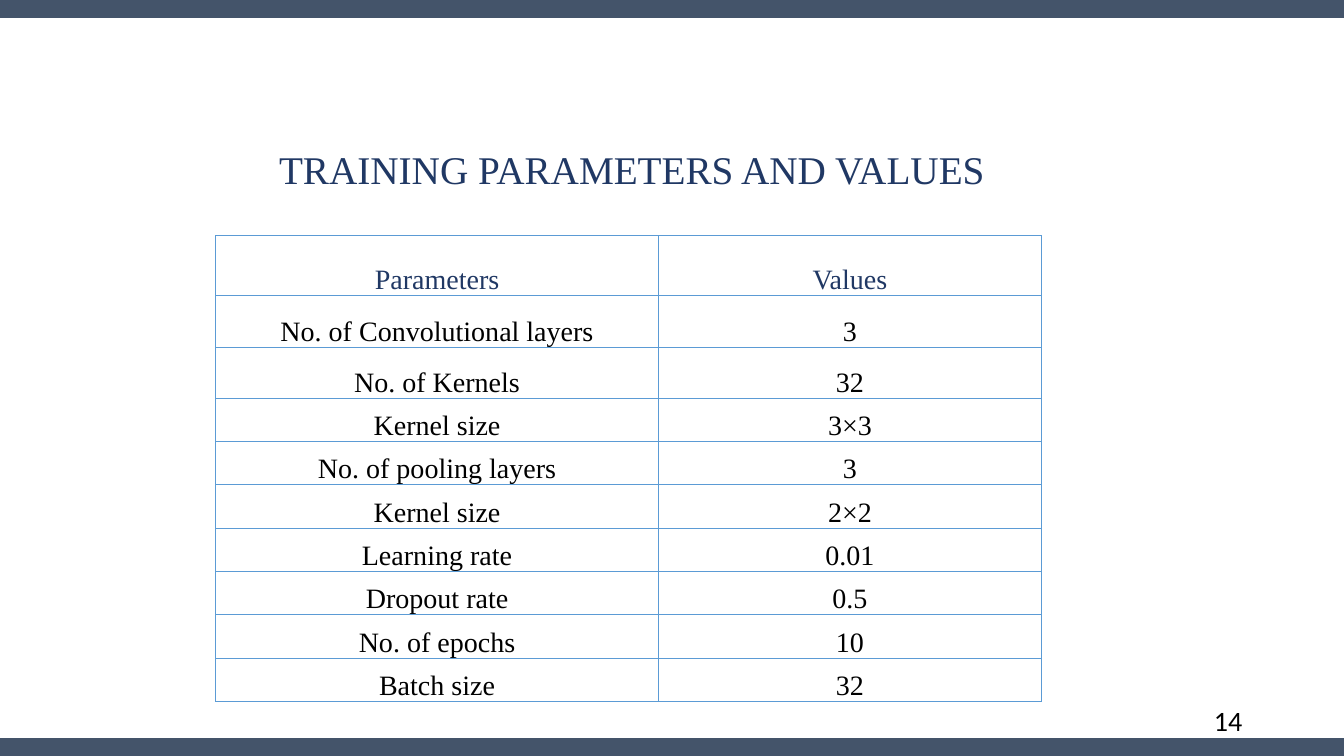
from lxml.etree import SubElement
from pptx import Presentation
from pptx.dml.color import RGBColor
from pptx.enum.shapes import MSO_CONNECTOR
from pptx.enum.text import MSO_ANCHOR, PP_ALIGN
from pptx.oxml.ns import qn
from pptx.util import Inches, Pt

COLORS = {"bar": "44546A", "heading": "203864", "text": "000000", "border": "5B9BD5"}
SERIF = "Times New Roman"
SLIDE_WIDTH, SLIDE_HEIGHT = 13.33, 7.5

COLUMN_WIDTHS = [4.39, 3.8]
ROW_HEIGHTS = [0.59, 0.52, 0.5] + [0.43] * 7
ROWS = [
    ("Parameters", "Values"),
    ("No. of Convolutional layers", "3"),
    ("No. of Kernels", "32"),
    ("Kernel size", "3×3"),
    ("No. of pooling layers", "3"),
    ("Kernel size", "2×2"),
    ("Learning rate", "0.01"),
    ("Dropout rate", "0.5"),
    ("No. of epochs", "10"),
    ("Batch size", "32"),
]


def write(frame, text, size, font, color, align):
    para = frame.paragraphs[0]
    para.text = text
    para.alignment = align
    para.font.size = Pt(size)
    para.font.name = font
    para.font.color.rgb = RGBColor.from_string(COLORS[color])


def add_bar(page, y):
    bar = page.shapes.add_connector(
        MSO_CONNECTOR.STRAIGHT, Inches(0), Inches(y), Inches(SLIDE_WIDTH), Inches(y))
    bar.line.color.rgb = RGBColor.from_string(COLORS["bar"])
    bar.line.width = Pt(14)
    SubElement(bar._element.spPr, qn("a:effectLst"))


def add_text(page, left, top, width, height, text, size, font, color, align, anchor):
    box = page.shapes.add_textbox(Inches(left), Inches(top), Inches(width), Inches(height))
    frame = box.text_frame
    frame.word_wrap = True
    frame.vertical_anchor = anchor
    write(frame, text, size, font, color, align)


def set_borders(cell):
    properties = cell._tc.get_or_add_tcPr()
    for side in ("lnL", "lnR", "lnT", "lnB"):
        line = SubElement(properties, qn(f"a:{side}"), w=str(Pt(1)))
        fill = SubElement(line, qn("a:solidFill"))
        SubElement(fill, qn("a:srgbClr"), val=COLORS["border"])


def add_parameter_table(page, left, top):
    table = page.shapes.add_table(
        len(ROWS), len(COLUMN_WIDTHS), Inches(left), Inches(top),
        Inches(sum(COLUMN_WIDTHS)), Inches(sum(ROW_HEIGHTS))).table
    table.first_row = False
    table.horz_banding = False
    for column, width in zip(table.columns, COLUMN_WIDTHS):
        column.width = Inches(width)
    for row, height, values in zip(table.rows, ROW_HEIGHTS, ROWS):
        row.height = Inches(height)
        color = "heading" if values is ROWS[0] else "text"
        for cell, value in zip(row.cells, values):
            cell.margin_left = cell.margin_right = cell.margin_top = Inches(0.01)
            cell.margin_bottom = Inches(0)
            cell.vertical_anchor = MSO_ANCHOR.BOTTOM
            set_borders(cell)
            cell.fill.background()
            write(cell.text_frame, value, 20, SERIF, color, PP_ALIGN.CENTER)


def main():
    deck = Presentation()
    deck.slide_width = Inches(SLIDE_WIDTH)
    deck.slide_height = Inches(SLIDE_HEIGHT)
    page = deck.slides.add_slide(deck.slide_layouts[6])

    # Bars along the top and bottom edges
    for y in (0.08, SLIDE_HEIGHT - 0.08):
        add_bar(page, y)

    # Slide number
    add_text(page, 9.42, 6.95, 3, 0.4, "14", 20, "Calibri", "text",
             PP_ALIGN.RIGHT, MSO_ANCHOR.MIDDLE)

    # Parameters and their values
    add_parameter_table(page, 2.14, 2.34)

    # Title
    add_text(page, 2.67, 1.39, 7.57, 0.57, "TRAINING PARAMETERS AND VALUES", 28, SERIF,
             "heading", PP_ALIGN.LEFT, MSO_ANCHOR.TOP)

    deck.save("out.pptx")


if __name__ == "__main__":
    main()
